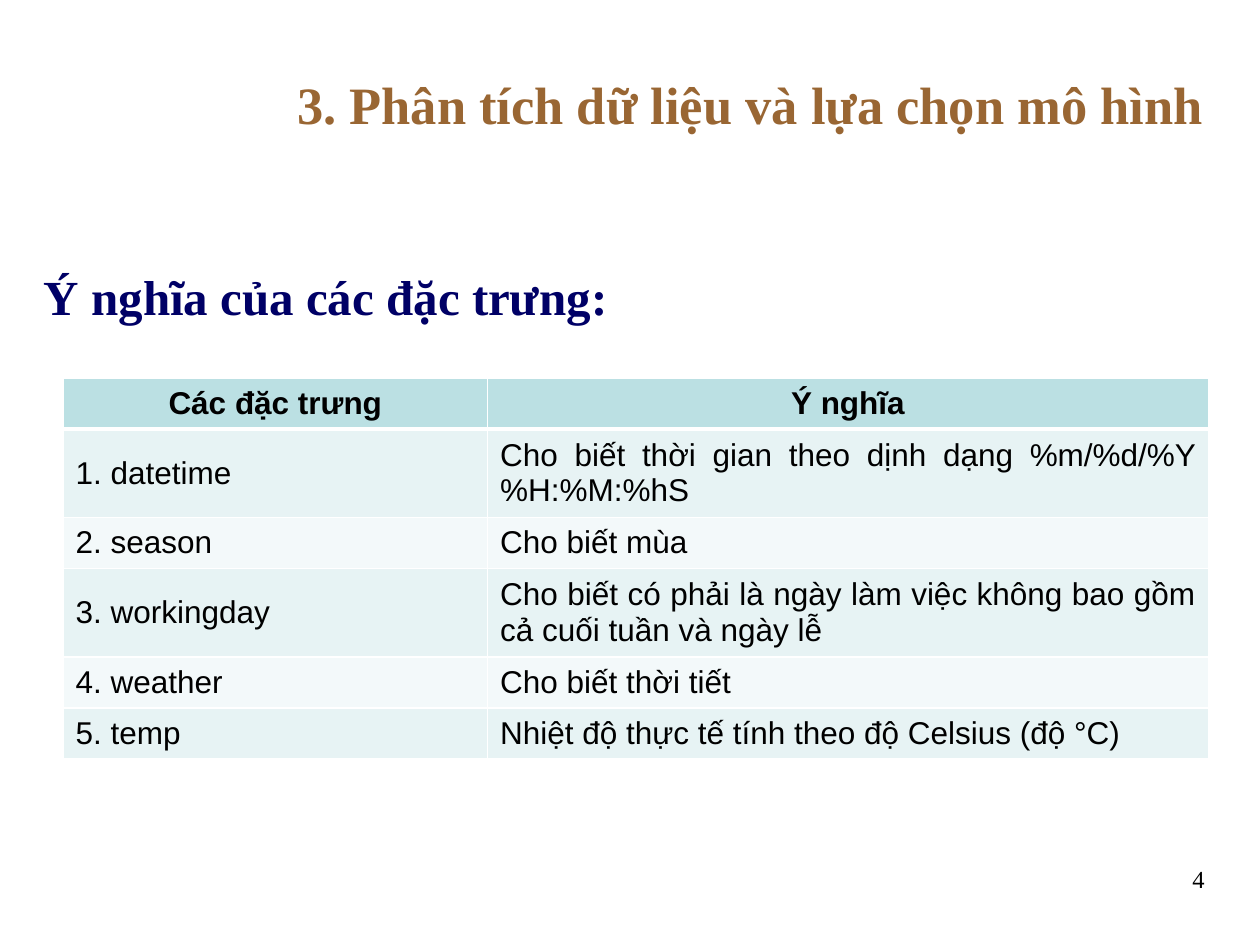
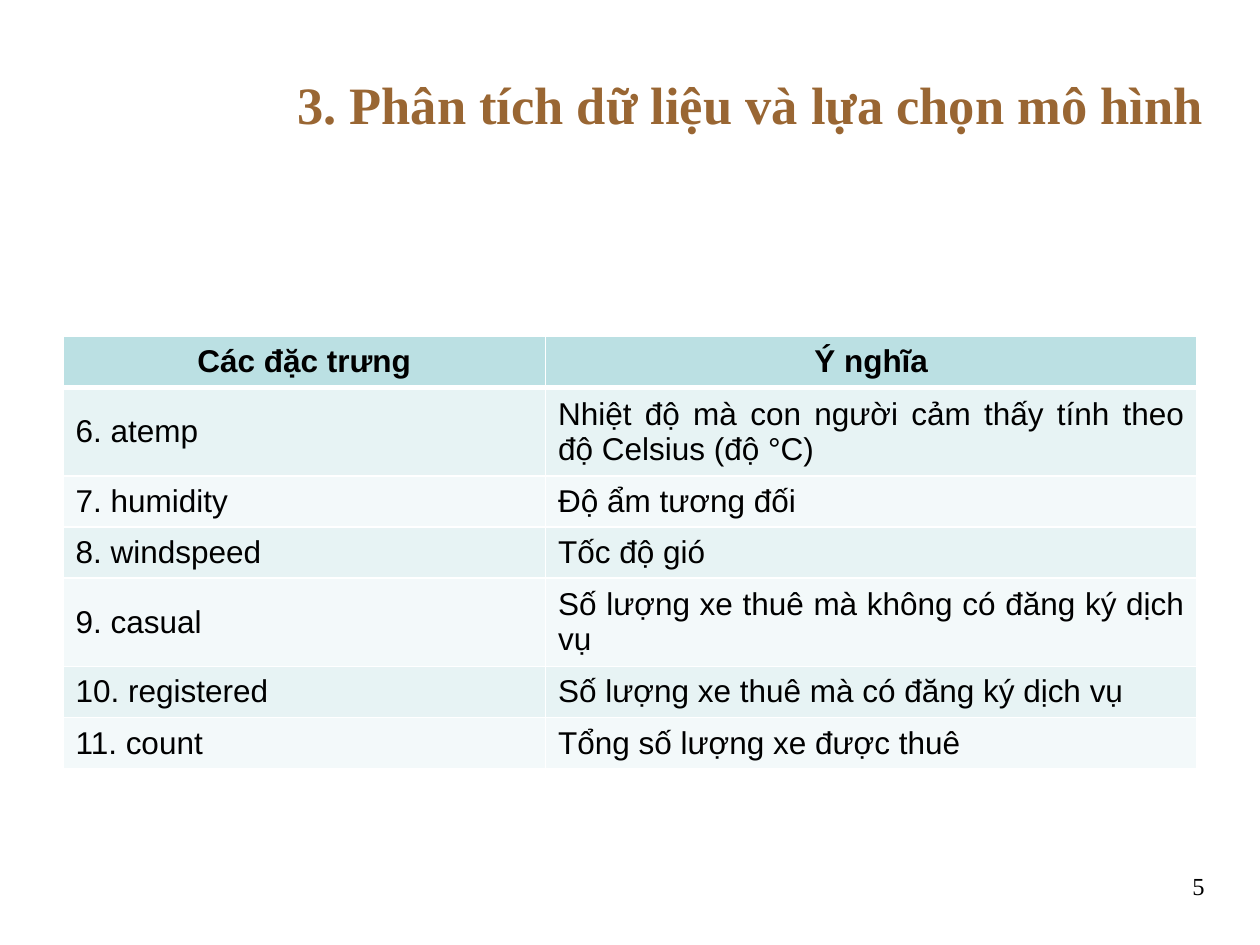
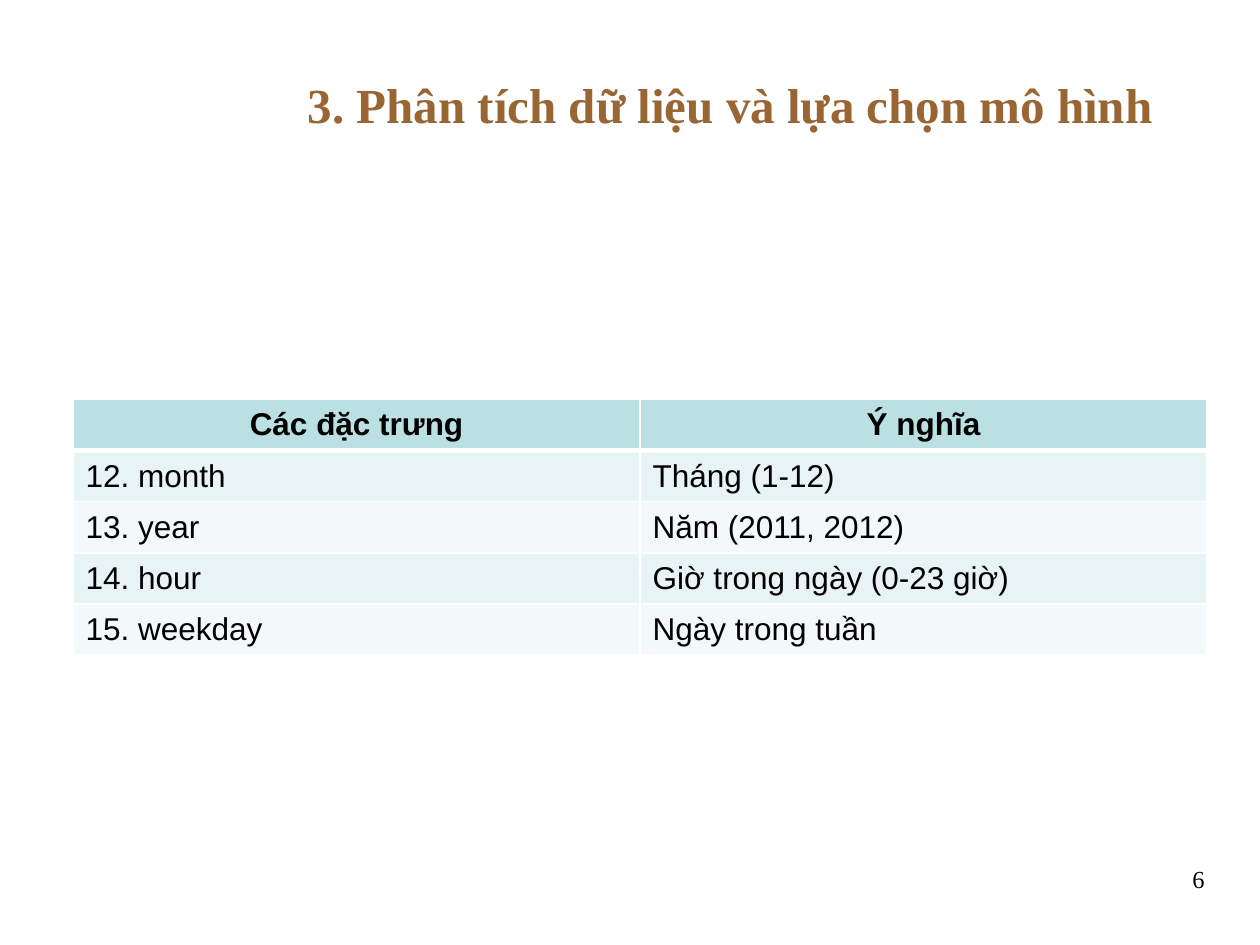
"""Build three slides that explain the features of a bike rental data set."""
from pptx import Presentation
from pptx.dml.color import RGBColor
from pptx.enum.text import MSO_ANCHOR as Anchor, PP_ALIGN as Align
from pptx.oxml.ns import qn
from pptx.util import Inches, Pt
from lxml.etree import SubElement

COLORS = {
    "title": "996633",
    "heading": "000066",
    "text": "000000",
    "header": "BBE0E3",
    "odd": "E7F3F4",
    "even": "F3F9FA",
    "border": "FFFFFF",
}
SERIF, SANS = "Times New Roman", "Arial"
TITLE = "3. Phân tích dữ liệu và lựa chọn mô hình"
HEADINGS = ("Các đặc trưng", "Ý nghĩa")
ROW_HEIGHT = Inches(2.03) // 5

FEATURE_SLIDES = [
    {
        "number": 4, "number_top": 6.81, "title_left": 2.08, "title_size": 30,
        "heading": "Ý nghĩa của các đặc trưng:",
        "table_at": (0.5, 3), "columns": (3.37, 5.72), "align": Align.JUSTIFY,
        "features": [
            ("1. datetime", "Cho biết thời gian theo dịnh dạng %m/%d/%Y %H:%M:%hS"),
            ("2. season", "Cho biết mùa"),
            ("3. workingday", "Cho biết có phải là ngày làm việc không bao gồm cả cuối tuần và ngày lễ"),
            ("4. weather", "Cho biết thời tiết"),
            ("5. temp", "Nhiệt độ thực tế tính theo độ Celsius (độ °C)"),
        ],
    },
    {
        "number": 5, "number_top": 6.86, "title_left": 2.08, "title_size": 30,
        "table_at": (0.5, 2.67), "columns": (3.83, 5.17), "align": Align.JUSTIFY,
        "features": [
            ("6. atemp", "Nhiệt độ mà con người cảm thấy tính theo độ Celsius (độ °C)"),
            ("7. humidity", "Độ ẩm tương đối"),
            ("8. windspeed", "Tốc độ gió"),
            ("9. casual", "Số lượng xe thuê mà không có đăng ký dịch vụ"),
            ("10. registered", "Số lượng xe thuê mà có đăng ký dịch vụ"),
            ("11. count", "Tổng số lượng xe được thuê"),
        ],
    },
    {
        "number": 6, "number_top": 6.81, "title_left": 1.92, "title_size": 28,
        "table_at": (0.58, 3.17), "columns": (4.5, 4.5), "align": Align.LEFT,
        "features": [
            ("12. month", "Tháng (1-12)"),
            ("13. year", "Năm (2011, 2012)"),
            ("14. hour", "Giờ trong ngày (0-23 giờ)"),
            ("15. weekday", "Ngày trong tuần"),
        ],
    },
]


class FeatureDeck:
    """Hold the style and the current slide, and add each kind of element."""

    def __init__(self):
        self.deck = Presentation()
        self.deck.slide_width, self.deck.slide_height = Inches(10), Inches(7.5)
        self.page = None

    def add_page(self):
        self.page = self.deck.slides.add_slide(self.deck.slide_layouts[6])

    def set_text(self, frame, text, font, size, color, bold=False, **layout):
        para = frame.paragraphs[0]
        for name, value in layout.items():
            setattr(para, name, value)
        span = para.add_run()
        span.text = text
        for name, value in {"name": font, "size": Pt(size), "bold": bold}.items():
            setattr(span.font, name, value)
        span.font.color.rgb = RGBColor.from_string(COLORS[color])

    def add_text(self, area, text, size, color, anchor=Anchor.TOP, bold=False, **layout):
        box = self.page.shapes.add_textbox(*map(Inches, area))
        frame = box.text_frame
        for name, value in {"word_wrap": True, "vertical_anchor": anchor}.items():
            setattr(frame, name, value)
        self.set_text(frame, text, SERIF, size, color, bold, **layout)

    def add_title(self, left, size):
        self.add_text((left, 0.31, 7.75, 1.03), TITLE, size, "title",
                      Anchor.MIDDLE, bold=True, alignment=Align.CENTER)

    def add_heading(self, text):
        self.add_text((0.25, 1.83, 9.58, 5.13), text, 28, "heading", bold=True,
                      alignment=Align.JUSTIFY, line_spacing=1.5, space_before=Pt(5.6))

    def add_number(self, number, top):
        self.add_text((7.33, top, 2.33, 0.61), str(number), 14, "text",
                      alignment=Align.RIGHT)

    def add_border(self, cell, side, width):
        line = SubElement(cell._tc.get_or_add_tcPr(), qn(f"a:ln{side}"), w=str(Pt(width)))
        fill = SubElement(line, qn("a:solidFill"))
        SubElement(fill, qn("a:srgbClr"), val=COLORS["border"])

    def fill_cell(self, cell, text, row, align):
        is_header = row == 0
        widths = {"L": 1, "R": 1, "T": 3 if row == 1 else 1, "B": 3 if is_header else 1}
        for side, width in widths.items():
            self.add_border(cell, side, width)
        shade = "header" if is_header else ("even", "odd")[row % 2]
        cell.fill.solid()
        cell.fill.fore_color.rgb = RGBColor.from_string(COLORS[shade])
        cell.vertical_anchor = Anchor.MIDDLE
        self.set_text(cell.text_frame, text, SANS, 18, "text", bold=is_header,
                      alignment=Align.CENTER if is_header else align)

    def add_features(self, position, columns, features, align):
        rows = [HEADINGS, *features]
        left, top = map(Inches, position)
        table = self.page.shapes.add_table(
            len(rows), len(columns), left, top,
            Inches(sum(columns)), ROW_HEIGHT * len(rows)).table
        for column, width in zip(table.columns, columns):
            column.width = Inches(width)
        for row, texts in enumerate(rows):
            for column, text in enumerate(texts):
                self.fill_cell(table.cell(row, column), text, row, align)


def main():
    builder = FeatureDeck()
    for content in FEATURE_SLIDES:
        builder.add_page()
        builder.add_title(content["title_left"], content["title_size"])
        if "heading" in content:
            builder.add_heading(content["heading"])
        builder.add_features(content["table_at"], content["columns"],
                             content["features"], content["align"])
        builder.add_number(content["number"], content["number_top"])
    builder.deck.save("out.pptx")


if __name__ == "__main__":
    main()
